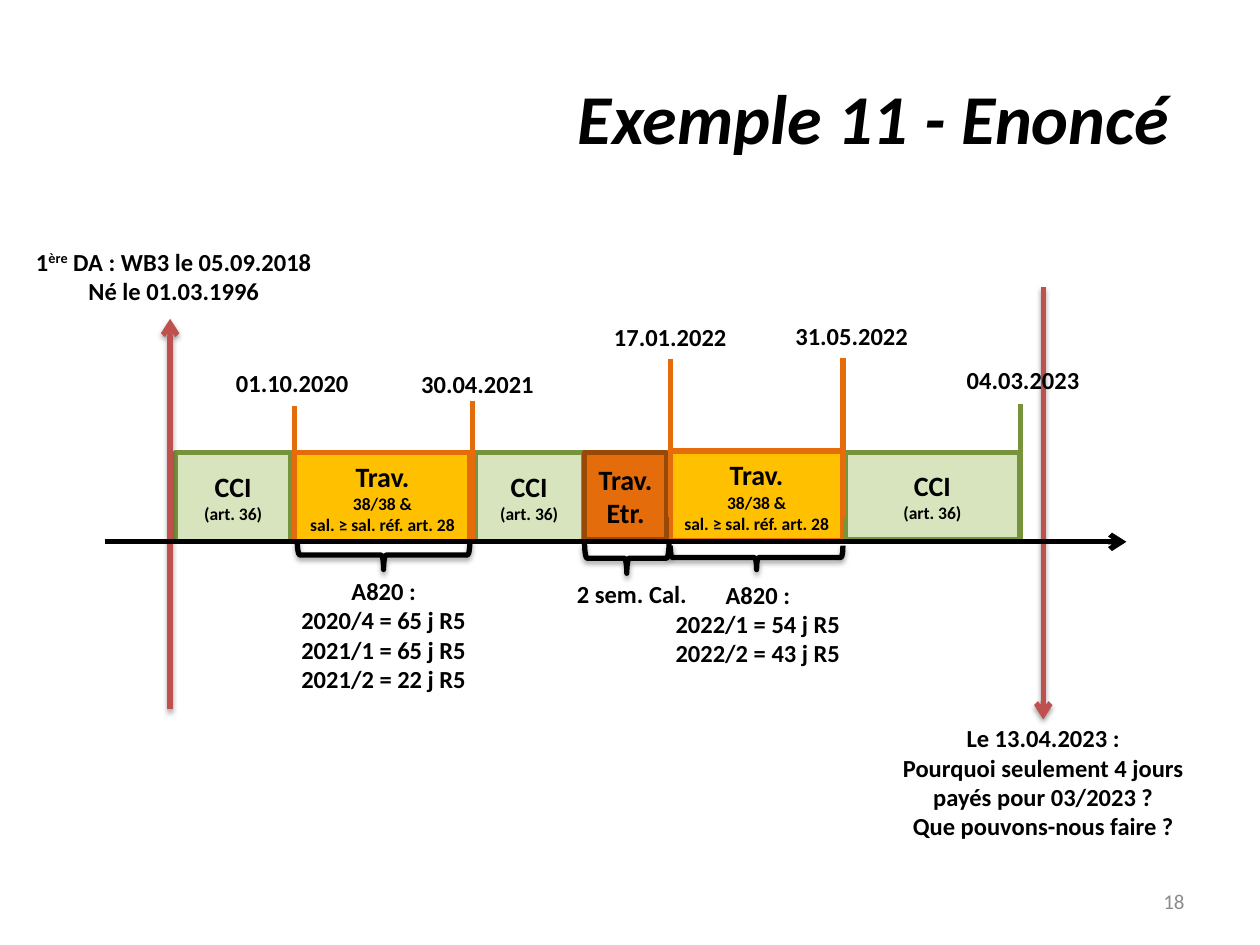
from pptx import Presentation
from pptx.dml.color import RGBColor
from pptx.enum import shapes, text
from pptx.oxml.ns import qn
from pptx.util import Inches, Pt
from lxml import etree

BLACK = RGBColor(0x00, 0x00, 0x00)
GREY = RGBColor(0x8C, 0x8C, 0x8C)
PALE_GREEN = RGBColor(0xD7, 0xE4, 0xBD)
GREEN = RGBColor(0x77, 0x93, 0x3C)
YELLOW = RGBColor(0xFF, 0xC0, 0x00)
ORANGE = RGBColor(0xE4, 0x6C, 0x0A)
BROWN = RGBColor(0x98, 0x48, 0x07)
RED = RGBColor(0xC0, 0x50, 0x4D)
FONT = "Calibri"
LINE_WIDTH = Pt(3)
SIDE_MARGIN = Inches(0.05)
AXIS_Y = 4.3

CCI = [("CCI", 16), ("(art. 36)", 10)]
WORK = [("Trav.", 16), ("38/38 &", 10), ("sal. ≥ sal. réf. art. 28", 10)]
ABROAD = [("Trav.", 16), ("Etr.", 16)]


def style_paragraph(para, size, color=BLACK, bold=True, align=text.PP_ALIGN.CENTER):
    para.alignment = align
    font = para.font
    font.name, font.size, font.bold = FONT, Pt(size), bold
    font.color.rgb = color


def fill_text(frame, lines):
    """Write (wording, size) pairs, one paragraph each."""
    frame.word_wrap = True
    frame.margin_left = frame.margin_right = SIDE_MARGIN
    for index, (wording, size) in enumerate(lines):
        para = frame.paragraphs[0] if index == 0 else frame.add_paragraph()
        para.text = wording
        style_paragraph(para, size)


def add_shadow(effects, distance, opacity):
    shadow = etree.SubElement(effects, qn("a:outerShdw"), blurRad=str(Pt(3.1)),
                              dist=str(Pt(distance)), dir="5400000", rotWithShape="0")
    color = etree.SubElement(shadow, qn("a:srgbClr"), val=str(BLACK))
    etree.SubElement(color, qn("a:alpha"), val=str(opacity * 1000))


def add_line(page, start, end, color, arrow=False, shadow=False):
    points = [Inches(value) for value in (*start, *end)]
    line = page.shapes.add_connector(shapes.MSO_CONNECTOR.STRAIGHT, *points)
    line.line.color.rgb = color
    line.line.width = LINE_WIDTH
    if arrow:
        etree.SubElement(line.line._get_or_add_ln(), qn("a:tailEnd"), type="arrow")
    effects = etree.SubElement(line._element.spPr, qn("a:effectLst"))
    if shadow:
        add_shadow(effects, 1.6, 38)


def add_title(page, box, wording):
    title = page.shapes.title
    title.left, title.top, title.width, title.height = map(Inches, box)
    title.text_frame.vertical_anchor = text.MSO_ANCHOR.MIDDLE
    para = title.text_frame.paragraphs[0]
    para.text = wording
    style_paragraph(para, 40, align=text.PP_ALIGN.RIGHT)
    para.font.italic = True


def add_period(page, box, lines, fill, border):
    period = page.shapes.add_shape(shapes.MSO_SHAPE.RECTANGLE, *map(Inches, box))
    period.shadow.inherit = False
    period.fill.solid()
    period.fill.fore_color.rgb = fill
    period.line.color.rgb = border
    period.line.width = LINE_WIDTH
    period.text_frame.vertical_anchor = text.MSO_ANCHOR.MIDDLE
    fill_text(period.text_frame, lines)


def add_brace(page, box):
    """Draw a brace pointing down that fills the given box."""
    left, top, width, height = box
    shift = (width - height) / 2
    brace = page.shapes.add_shape(
        shapes.MSO_SHAPE.LEFT_BRACE, Inches(left + shift), Inches(top - shift),
        Inches(height), Inches(width))
    brace.rotation = 270
    brace.fill.background()
    brace.line.color.rgb = BLACK
    brace.line.width = LINE_WIDTH
    brace.shadow.inherit = False
    add_shadow(brace._element.spPr.find(qn("a:effectLst")), 1.8, 35)


def add_label(page, box, *lines):
    label = page.shapes.add_textbox(*map(Inches, box))
    fill_text(label.text_frame, [(line, 14) for line in lines])
    return label


def add_first_claim(page, box):
    label = add_label(page, box, "1", "Né le 01.03.1996")
    para = label.text_frame.paragraphs[0]
    ordinal = para.add_run()
    ordinal.text = "ère"
    ordinal.font._element.set("baseline", "30000")
    para.add_run().text = " DA : WB3 le 05.09.2018"


def add_page_number(page, box, number):
    frame = page.shapes.add_textbox(*map(Inches, box)).text_frame
    frame.word_wrap = True
    frame.vertical_anchor = text.MSO_ANCHOR.MIDDLE
    frame.text = number
    style_paragraph(frame.paragraphs[0], 12, GREY, False, text.PP_ALIGN.RIGHT)


def add_timeline(page):
    # Periods
    for left, top, width, height, lines, fill, border in (
            (1.39, 3.59, 0.92, 0.71, CCI, PALE_GREEN, GREEN),
            (2.34, 3.59, 1.39, 0.71, WORK, YELLOW, ORANGE),
            (3.77, 3.59, 0.86, 0.71, CCI, PALE_GREEN, GREEN),
            (5.32, 3.58, 1.37, 0.71, WORK, YELLOW, ORANGE),
            (6.71, 3.59, 1.38, 0.69, CCI, PALE_GREEN, GREEN),
            (4.64, 3.59, 0.65, 0.69, ABROAD, ORANGE, BROWN)):
        add_period(page, (left, top, width, height), lines, fill, border)

    # Claim and question arrows
    add_line(page, (1.35, 5.63), (1.35, 2.53), RED, arrow=True, shadow=True)
    add_line(page, (8.28, 2.28), (8.28, 5.71), RED, arrow=True, shadow=True)

    # Date markers
    for x, top, bottom, color in (
            (2.34, 3.22, 4.31, ORANGE), (3.75, 3.18, 4.28, ORANGE),
            (5.32, 2.85, 4.1, ORANGE), (6.69, 2.84, 4.1, ORANGE),
            (8.1, 3.21, 4.31, GREEN)):
        add_line(page, (x, top), (x, bottom), color)

    # Dates
    for left, top, width, date in (
            (1.69, 2.87, 1.26, "01.10.2020"), (3.24, 2.88, 1.1, "30.04.2021"),
            (4.77, 2.51, 1.1, "17.01.2022"), (6.21, 2.5, 1.1, "31.05.2022"),
            (7.49, 2.85, 1.26, "04.03.2023")):
        add_label(page, (left, top, width, 0.34), date)

    # Braces and time axis
    for box in ((2.36, 4.29, 1.37, 0.23), (5.32, 4.33, 1.37, 0.19),
                (4.64, 4.31, 0.67, 0.24)):
        add_brace(page, box)
    add_line(page, (0.83, AXIS_Y), (8.94, AXIS_Y), BLACK, arrow=True)


def add_comments(page):
    add_first_claim(page, (0, 1.91, 2.76, 0.57))
    add_label(page, (1.97, 4.52, 2.15, 1.04), "A820 :", "2020/4 = 65 j R5",
              "2021/1 = 65 j R5", "2021/2 = 22 j R5")
    add_label(page, (3.94, 4.55, 2.15, 0.34), "2 sem. Cal.")
    add_label(page, (4.94, 4.55, 2.15, 0.81), "A820 :", "2022/1 = 54 j R5",
              "2022/2 = 43 j R5")
    add_label(page, (7.01, 5.69, 2.54, 1.04), "Le 13.04.2023 :",
              "Pourquoi seulement 4 jours payés pour 03/2023 ?",
              "Que pouvons-nous faire ?")


def main():
    deck = Presentation()
    deck.slide_width, deck.slide_height = Inches(10), Inches(7.5)
    page = deck.slides.add_slide(deck.slide_layouts[5])
    add_title(page, (0.5, 0.3, 9, 1.25), "Exemple 11 - Enoncé ")
    add_timeline(page)
    add_comments(page)
    add_page_number(page, (7.17, 6.95, 2.33, 0.4), "18")
    deck.save("out.pptx")


if __name__ == "__main__":
    main()
